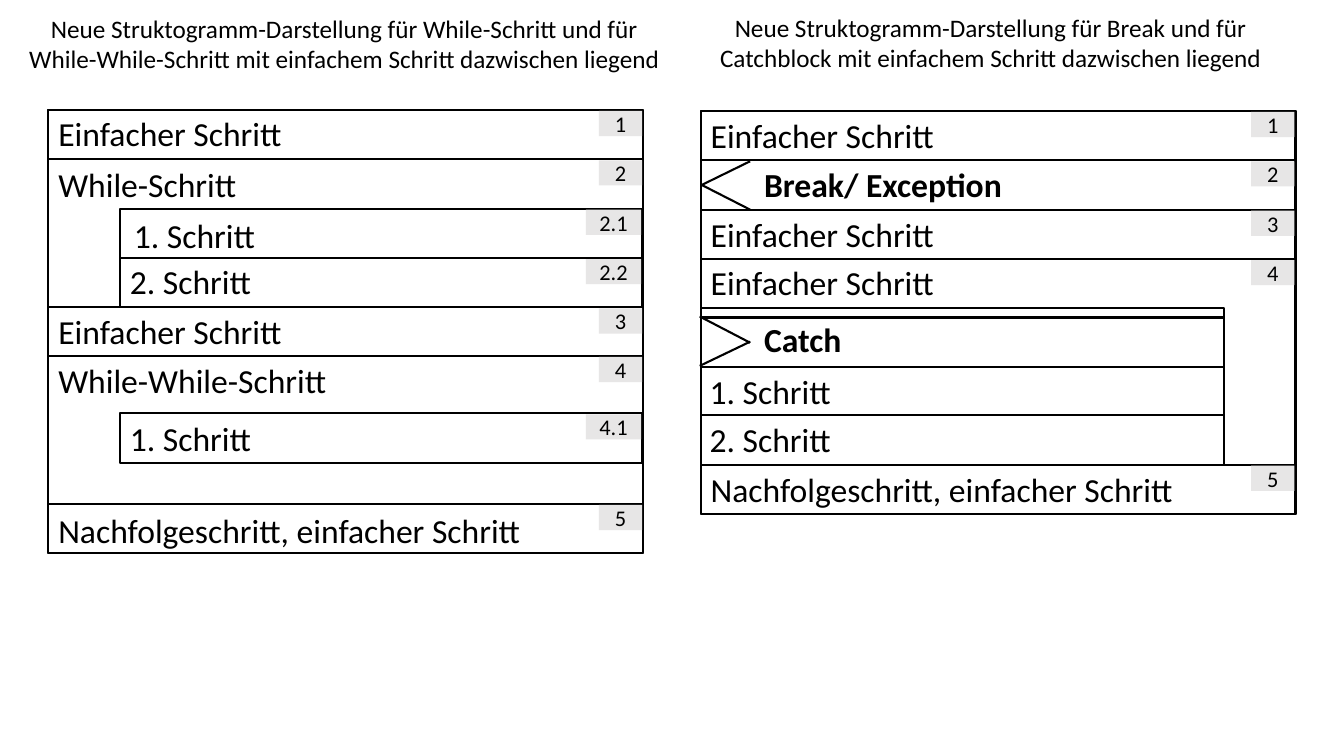
from pptx import Presentation
from pptx.dml.color import RGBColor
from pptx.enum.shapes import MSO_CONNECTOR, MSO_SHAPE
from pptx.enum.text import MSO_ANCHOR, MSO_AUTO_SIZE, PP_ALIGN
from pptx.oxml.ns import qn
from pptx.util import Inches, Pt
from lxml.etree import SubElement

BLACK, WHITE, GRAY = "000000", "FFFFFF", "E7E6E6"
ROW = 0.49
FULL = 5.9
LEFT, RIGHT = 0.48, 6.95
INDENT = 1.19
INNER = 5.18
CATCH = 5.19

TITLES = [
    (0.17, 0.08, 6.49, "Neue Struktogramm-Darstellung für While-Schritt und für "
     "While-While-Schritt mit einfachem Schritt dazwischen liegend"),
    (6.67, 0.07, 6.31, "Neue Struktogramm-Darstellung für Break und für "
     "Catchblock mit einfachem Schritt dazwischen liegend"),
]

# left, top, width, height, text, label left, label top, number
STEPS = [
    (LEFT, 1.09, FULL, ROW, "Einfacher Schritt", LEFT, 1.07, "1"),
    (LEFT, 1.58, FULL, 1.47, "While-Schritt", LEFT, 1.58, "2"),
    (INDENT, 2.07, INNER, ROW, "1. Schritt", 1.23, 2.08, "2.1"),
    (INDENT, 2.56, INNER, ROW, "2. Schritt", INDENT, 2.54, "2.2"),
    (LEFT, 3.05, FULL, ROW, "Einfacher Schritt", LEFT, 3.04, "3"),
    (LEFT, 3.53, FULL, 1.47, "While-While-Schritt", LEFT, 3.52, "4"),
    (INDENT, 4.1, INNER, ROW, "1. Schritt", INDENT, 4.1, "4.1"),
    (LEFT, 5, FULL, ROW, "Nachfolgeschritt, einfacher Schritt", LEFT, 5.01, "5"),
    (RIGHT, 1.1, FULL, ROW, "Einfacher Schritt", RIGHT, 1.09, "1"),
    (RIGHT, 1.59, FULL, ROW, "Break/ Exception", 7.48, 1.58, "2"),
    (RIGHT, 2.08, FULL, ROW, "Einfacher Schritt", RIGHT, 2.07, "3"),
    (RIGHT, 2.57, FULL, 2.04, "Einfacher Schritt", RIGHT, 2.55, "4"),
    (RIGHT, 3.06, CATCH, 1.56, "Catch", 7.48, 3.11, ""),
    (RIGHT, 3.64, CATCH, ROW, "1. Schritt", 6.94, 3.63, ""),
    (RIGHT, 4.12, CATCH, ROW, "2. Schritt", 6.94, 4.11, ""),
    (RIGHT, 4.61, FULL, ROW, "Nachfolgeschritt, einfacher Schritt", RIGHT, 4.6, "5"),
]
BOLD_STEPS = ("Break/ Exception", "Catch")

LINES = [
    (6.94, 3.15, 12.14, 3.15),
    (6.94, 3.14, 7.44, 3.4),
    (6.94, 3.63, 7.44, 3.39),
    (6.95, 1.84, 7.44, 1.6),
    (6.95, 1.83, 7.44, 2.08),
]


def color(value):
    return RGBColor.from_string(value)


def write(frame, text, size, align, bold=False):
    frame.word_wrap = True
    para = frame.paragraphs[0]
    para.text = text
    para.alignment = align
    para.font.name = "Calibri"
    para.font.size = Pt(size)
    para.font.bold = bold
    para.font.color.rgb = color(BLACK)


def add_label(page, left, top, width, height, text, size,
              align=PP_ALIGN.LEFT, bold=False):
    box = page.shapes.add_textbox(
        Inches(left), Inches(top), Inches(width), Inches(height))
    write(box.text_frame, text, size, align, bold)
    box.text_frame.auto_size = MSO_AUTO_SIZE.SHAPE_TO_FIT_TEXT


def add_rect(page, left, top, width, height, fill=WHITE, outlined=True):
    rect = page.shapes.add_shape(
        MSO_SHAPE.RECTANGLE,
        Inches(left), Inches(top), Inches(width), Inches(height))
    rect.shadow.inherit = False
    rect.fill.solid()
    rect.fill.fore_color.rgb = color(fill)
    if outlined:
        rect.line.color.rgb = color(BLACK)
        rect.line.width = Pt(1.5)
    else:
        rect.line.fill.background()
    return rect


def add_badge(page, right, top, number):
    width = 0.55 if "." in number else 0.43
    badge = add_rect(page, right - width, top, width, 0.25, GRAY, False)
    frame = badge.text_frame
    frame.margin_left = frame.margin_right = Inches(0.04)
    frame.vertical_anchor = MSO_ANCHOR.MIDDLE
    write(frame, number, 16, PP_ALIGN.CENTER)


def add_step(page, left, top, width, height, text, label_left, label_top, number):
    add_rect(page, left, top, width, height)
    label_width = width - 0.67 if width == FULL else 3.97
    add_label(page, label_left, label_top, label_width, 0.5, text, 24,
              bold=text in BOLD_STEPS)
    if number:
        add_badge(page, left + width - 0.01, top + 0.01, number)


def add_line(page, start_x, start_y, end_x, end_y):
    line = page.shapes.add_connector(
        MSO_CONNECTOR.STRAIGHT,
        Inches(start_x), Inches(start_y), Inches(end_x), Inches(end_y))
    line.line.color.rgb = color(BLACK)
    line.line.width = Pt(1.5)
    SubElement(line._element.spPr, qn("a:effectLst"))


def main():
    deck = Presentation()
    deck.slide_width, deck.slide_height = Inches(13.33), Inches(7.5)
    page = deck.slides.add_slide(deck.slide_layouts[6])
    for left, top, width, text in TITLES:
        add_label(page, left, top, width, 0.71, text, 18, PP_ALIGN.CENTER)
    add_rect(page, LEFT, 1.09, FULL, 4.4)
    add_rect(page, RIGHT, 1.1, FULL, 4)
    for step in STEPS:
        add_step(page, *step)
    for line in LINES:
        add_line(page, *line)
    deck.save("out.pptx")


main()
